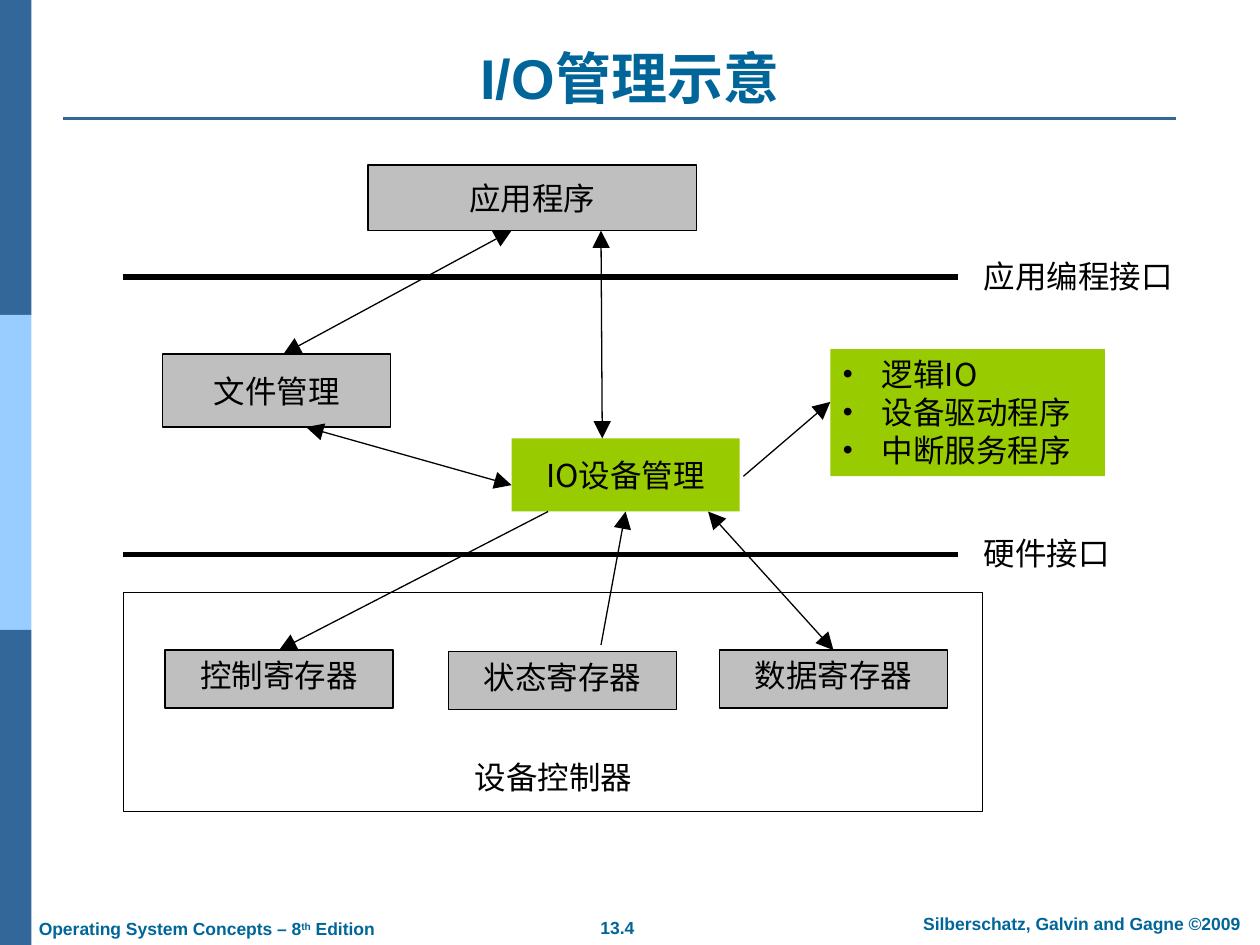
from lxml.etree import SubElement
from pptx import Presentation
from pptx.dml.color import RGBColor
from pptx.enum.shapes import MSO_CONNECTOR, MSO_SHAPE
from pptx.enum.text import MSO_ANCHOR, PP_ALIGN
from pptx.oxml.ns import qn
from pptx.util import Inches, Pt

BLUE = RGBColor(0x33, 0x66, 0x99)
LIGHT_BLUE = RGBColor(0x99, 0xCC, 0xFF)
TEAL = RGBColor(0x00, 0x66, 0x99)
GRAY = RGBColor(0xBF, 0xBF, 0xBF)
GREEN = RGBColor(0x99, 0xCC, 0x00)
BLACK = RGBColor(0, 0, 0)
LATIN, CHINESE = "Arial", "Noto Sans CJK SC"
BODY = {"size": Pt(18), "bold": False}
FOOTER = {"size": Pt(10), "bold": True}
TITLE = {"size": Pt(32), "bold": True}
TOP, BOTTOM = 0, 2


def add_run(paragraph, text, style, color=BLACK, typeface=CHINESE):
    run = paragraph.add_run()
    run.text = text
    for name, value in style.items():
        setattr(run.font, name, value)
    run.font.color.rgb = color
    run.font.name = typeface
    SubElement(run.font._element, qn("a:ea"), typeface=typeface)
    return run


def add_rectangle(slide, box, fill=None, line=None):
    shape = slide.shapes.add_shape(MSO_SHAPE.RECTANGLE, *map(Inches, box))
    shape.shadow.inherit = False
    if fill is None:
        shape.fill.background()
    else:
        shape.fill.solid()
        shape.fill.fore_color.rgb = fill
    if line is None:
        shape.line.fill.background()
    else:
        shape.line.color.rgb = line
        shape.line.width = Pt(0.75)
    return shape


def first_paragraph(shape, align, anchor=MSO_ANCHOR.TOP, wrap=False):
    frame = shape.text_frame
    frame.word_wrap = wrap
    frame.vertical_anchor = anchor
    paragraph = frame.paragraphs[0]
    paragraph.alignment = align
    return paragraph


def add_block(slide, box, text, fill=GRAY, line=BLACK, anchor=MSO_ANCHOR.MIDDLE):
    shape = add_rectangle(slide, box, fill, line)
    add_run(first_paragraph(shape, PP_ALIGN.CENTER, anchor), text, BODY)
    return shape


def add_text(slide, box, runs, align=PP_ALIGN.LEFT, anchor=MSO_ANCHOR.TOP, wrap=False):
    """Add a text box; runs holds the argument tuples for add_run."""
    shape = slide.shapes.add_textbox(*map(Inches, box))
    paragraph = first_paragraph(shape, align, anchor, wrap)
    return [add_run(paragraph, *run) for run in runs]


def add_line(slide, start, end, color=BLACK, width=0.75, heads=()):
    """Add a line; heads names its arrow ends, headEnd at start, tailEnd at end."""
    connector = slide.shapes.add_connector(
        MSO_CONNECTOR.STRAIGHT, *map(Inches, (*start, *end)))
    connector.line.color.rgb = color
    connector.line.width = Pt(width)
    for head in heads:
        SubElement(connector.line._get_or_add_ln(), qn(f"a:{head}"),
                   type="triangle", w="lg", len="lg")
    SubElement(connector._element.spPr, qn("a:effectLst"))
    return connector


def add_sidebar(slide, left, top, width, height):
    band = height / 3
    for index, color in enumerate((BLUE, LIGHT_BLUE, BLUE)):
        add_rectangle(slide, (left, top + index * band, width, band), color)


def add_title(slide, left, top, width, height):
    add_text(slide, (left, top, width, height),
             [("I/O", TITLE, TEAL, LATIN), ("管理示意", TITLE, TEAL)],
             PP_ALIGN.CENTER, MSO_ANCHOR.BOTTOM, True)
    rule = top + height + 0.01
    add_line(slide, (left, rule), (left + 8.83, rule), BLUE, 1.5)


def add_footer(slide, left, top, height):
    def footer_runs(*texts):
        return [(text, FOOTER, TEAL, LATIN) for text in texts]

    edition = add_text(slide, (left, top + 0.04, 3.1, height),
                       footer_runs("Operating System Concepts – 8", "th", " Edition"))
    edition[1].font._element.set("baseline", "30000")
    add_text(slide, (left + 4.16, top + 0.03, 1.06, height),
             footer_runs("13.4"), PP_ALIGN.CENTER)
    add_text(slide, (left + 6.89, top, 2.97, height),
             footer_runs("Silberschatz, Galvin and Gagne ©2009"),
             PP_ALIGN.CENTER, wrap=True)


def add_interface(slide, left, middle, width, name):
    right = left + width
    add_line(slide, (right, middle), (left, middle), width=3.25)
    add_text(slide, (right + 0.11, middle - 0.21, 1.7, 0.4), [(name, BODY)])


def add_controller(slide, left, top, width, height):
    """Draw the device controller and return its three register blocks."""
    registers = [
        add_block(slide, (left + across, top + down, 1.81, 0.46), name,
                  anchor=MSO_ANCHOR.TOP)
        for across, down, name in ((0.33, 0.46, "控制寄存器"),
                                   (2.58, 0.47, "状态寄存器"),
                                   (4.73, 0.46, "数据寄存器"))]
    add_rectangle(slide, (left, top, width, height), line=BLACK)
    add_text(slide, (left + 2.69, top + 1.27, 1.45, 0.4), [("设备控制器", BODY)])
    return registers


def add_function_list(slide, box):
    shape = add_rectangle(slide, box, GREEN)
    paragraph = first_paragraph(shape, PP_ALIGN.LEFT)
    for index, text in enumerate(("逻辑IO", "设备驱动程序", "中断服务程序")):
        if index:
            paragraph = shape.text_frame.add_paragraph()
            paragraph.alignment = PP_ALIGN.LEFT
        properties = paragraph._element.get_or_add_pPr()
        properties.set("marL", str(Inches(0.31)))
        properties.set("indent", str(Inches(-0.31)))
        SubElement(properties, qn("a:buSzPct"), val="90000")
        SubElement(properties, qn("a:buFont"), typeface=LATIN)
        SubElement(properties, qn("a:buChar"), char="•")
        add_run(paragraph, text, BODY)


def add_diagram(slide, left, top):
    add_block(slide, (left + 1.94, top, 2.61, 0.52), "应用程序")
    add_block(slide, (left + 0.31, top + 1.5, 1.81, 0.58), "文件管理")
    manager = add_block(slide, (left + 3.08, top + 2.17, 1.81, 0.58),
                        "IO设备管理", GREEN, None)
    add_interface(slide, left, top + 0.89, 6.62, "应用编程接口")
    add_interface(slide, left, top + 3.09, 6.62, "硬件接口")
    control, _, data = add_controller(slide, left, top + 3.39, 6.82, 1.74)
    add_function_list(slide, (left + 5.61, top + 1.46, 2.18, 1.01))

    both, forward = ("headEnd", "tailEnd"), ("tailEnd",)
    arrows = (
        ((3.08, 0.52), (1.27, 1.5), both, None),
        ((3.79, 0.52), (3.8, 2.17), both, None),
        ((1.45, 2.08), (3.08, 2.54), both, None),
        ((4.64, 2.75), (5.63, 3.85), both, (data, TOP)),
        ((3.37, 2.75), (1.23, 3.85), forward, (control, TOP)),
        ((3.79, 3.81), (3.99, 2.75), forward, (manager, BOTTOM)),
        ((4.92, 2.47), (5.61, 1.88), forward, None),
    )
    for start, end, heads, target in arrows:
        arrow = add_line(slide, (left + start[0], top + start[1]),
                         (left + end[0], top + end[1]), heads=heads)
        if target:
            arrow.end_connect(*target)


def main():
    presentation = Presentation()
    presentation.slide_width = Inches(10)
    presentation.slide_height = Inches(7.5)
    slide = presentation.slides.add_slide(presentation.slide_layouts[6])
    add_sidebar(slide, 0, 0, 0.25, 7.5)
    add_title(slide, 0.5, 0.3, 9, 0.63)
    add_diagram(slide, 0.98, 1.31)
    add_footer(slide, 0.21, 7.2, 0.27)
    presentation.save("out.pptx")


if __name__ == "__main__":
    main()
